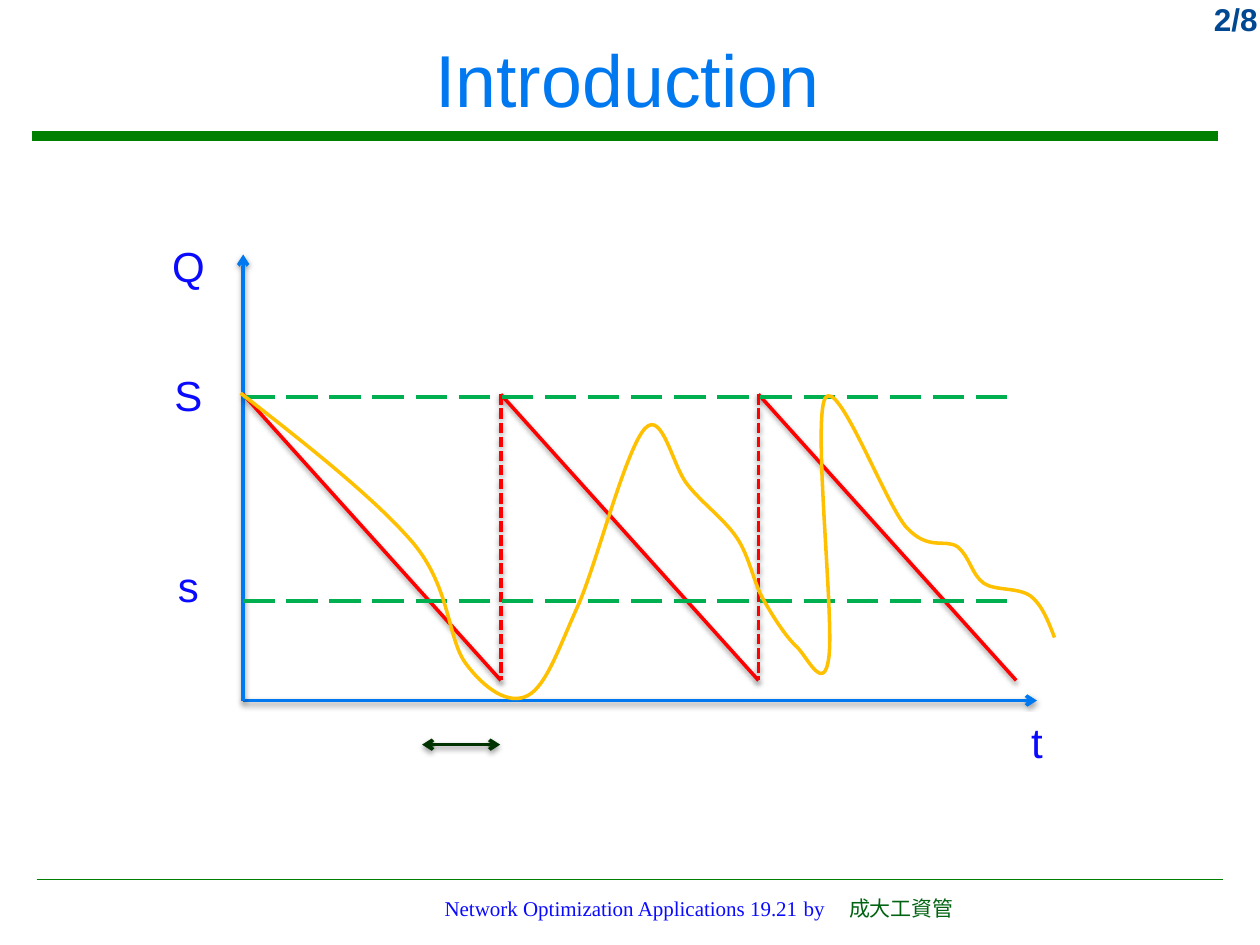
from dataclasses import dataclass
from typing import Optional

from lxml.etree import SubElement
from pptx import Presentation
from pptx.dml.color import RGBColor
from pptx.enum.dml import MSO_LINE_DASH_STYLE as Dash
from pptx.enum.shapes import MSO_CONNECTOR as Connector, MSO_SHAPE as Preset
from pptx.enum.text import MSO_ANCHOR as Anchor, PP_ALIGN as Align
from pptx.oxml.ns import qn
from pptx.util import Inches, Pt

COLUMNS, ROWS = 100, 75
COLORS = {
    "rule": "008000", "number": "004992", "title": "0078F0", "label": "0A0AFF",
    "school": "016311", "axis": "0078F0", "plan": "FF0000", "level": "00B050",
    "demand": "FFC000", "lead": "003300", "paper": "FFFFFF", "shadow": "000000",
}

deck = Presentation()
deck.slide_width, deck.slide_height = Inches(10), Inches(7.5)
page = deck.slides.add_slide(deck.slide_layouts[6])


@dataclass
class Line:
    start: tuple[float, float]
    end: tuple[float, float]
    color: str
    width: float = 2
    dash: Optional[Dash] = None
    arrows: tuple[str, ...] = ()
    shadow: bool = True


@dataclass
class Caption:
    frame: tuple[float, float, float, float]
    wording: tuple[tuple[str, str], ...]
    size: float
    font: str = "Arial"
    align: Align = Align.CENTER
    anchor: Anchor = Anchor.MIDDLE
    bold: bool = False
    filled: bool = False
    tabs: tuple[float, ...] = ()


def across(columns: float) -> int:
    return round(deck.slide_width * columns / COLUMNS)


def down(rows: float) -> int:
    return round(deck.slide_height * rows / ROWS)


def rgb(name: str) -> RGBColor:
    return RGBColor.from_string(COLORS[name])


def draw_line(line: Line) -> None:
    (x1, y1), (x2, y2) = line.start, line.end
    shape = page.shapes.add_connector(
        Connector.STRAIGHT, across(x1), down(y1), across(x2), down(y2))
    shape.line.color.rgb = rgb(line.color)
    shape.line.width = Pt(line.width)
    if line.dash:
        shape.line.dash_style = line.dash
    properties = shape._element.spPr
    for end in line.arrows:
        SubElement(properties.find(qn("a:ln")), qn(f"a:{end}"), type="arrow")
    effects = SubElement(properties, qn("a:effectLst"))
    if line.shadow:
        shadow = SubElement(effects, qn("a:outerShdw"), blurRad="40000",
                            dist="20000", dir="5400000", rotWithShape="0")
        tint = SubElement(shadow, qn("a:srgbClr"), val=COLORS["shadow"])
        SubElement(tint, qn("a:alpha"), val="38000")


def draw_caption(caption: Caption) -> None:
    x, y, width, height = caption.frame
    place = across(x), down(y), across(width), down(height)
    if caption.filled:
        box = page.shapes.add_shape(Preset.RECTANGLE, *place)
        box.shadow.inherit = False
        box.fill.solid()
        box.fill.fore_color.rgb = rgb("paper")
        box.line.fill.background()
    else:
        box = page.shapes.add_textbox(*place)
    frame = box.text_frame
    frame.word_wrap = True
    frame.vertical_anchor = caption.anchor
    para = frame.paragraphs[0]
    para.alignment = caption.align
    if caption.tabs:
        stops = SubElement(para._p.get_or_add_pPr(), qn("a:tabLst"))
        for stop in caption.tabs:
            SubElement(stops, qn("a:tab"), pos=str(across(stop)), algn="l")
    for text, color in caption.wording:
        span = para.add_run()
        span.text = text
        span.font.name = caption.font
        span.font.size = Pt(caption.size)
        span.font.bold = caption.bold
        span.font.color.rgb = rgb(color)


def draw_curve(start: tuple, bends: list[tuple], color: str, width: float) -> None:
    builder = page.shapes.build_freeform(across(start[0]), down(start[1]))
    points = [(across(bend[i]), down(bend[i + 1])) for bend in bends for i in (0, 2, 4)]
    builder.add_line_segments(points, close=False)
    shape = builder.convert_to_shape()
    shape.shadow.inherit = False
    shape.fill.background()
    shape.line.color.rgb = rgb(color)
    shape.line.width = Pt(width)
    outline = next(shape._element.iter(qn("a:path")))
    segments = outline.findall(qn("a:lnTo"))
    for first in range(0, len(segments), 3):
        cubic = SubElement(outline, qn("a:cubicBezTo"))
        for segment in segments[first:first + 3]:
            cubic.append(segment[0])
            outline.remove(segment)


ORIGIN_X, ORIGIN_Y = 19.3, 55.6
CYCLE, TOP, BOTTOM = 20.45, 31.3, 54
CYCLE_STARTS = [ORIGIN_X + CYCLE * turn for turn in range(3)]

FRAME_LINES = [
    Line((2.5, 10.8), (96.7, 10.8), "rule", 5.25, shadow=False),
    Line((2.9, 69.8), (97.1, 69.8), "rule", 1, shadow=False),
]
AXES = [
    Line((ORIGIN_X, ORIGIN_Y), end, "axis", arrows=("tailEnd",))
    for end in [(82.3, ORIGIN_Y), (ORIGIN_X, 20.2)]
]
PLAN = [
    Line((x, TOP), (x + CYCLE, BOTTOM), "plan") for x in CYCLE_STARTS
] + [
    Line((x, TOP), (x, BOTTOM), "plan", dash=Dash.SQUARE_DOT) for x in CYCLE_STARTS[1:]
]
LEVELS = [
    Line((ORIGIN_X, y), (79.9, y), "level", 2.25, Dash.LONG_DASH, shadow=False)
    for y in (47.7, 31.5)
]
LEAD_TIME = Line((33.5, 59.1), (39.7, 59.1), "lead", arrows=("headEnd", "tailEnd"))

CAPTIONS = [
    Caption((91.7, -0.5, 9.1, 4), (("2/8", "number"),), 18,
            align=Align.RIGHT, anchor=Anchor.TOP, bold=True),
    Caption((0.8, 0.9, 98, 10.6), (("Introduction", "title"),), 42),
    Caption((34.3, 70.6, 63.9, 4),
            (("Network Optimization Applications 19.21\tby\t", "label"),
             ("成大工資管", "school")), 12, "Times New Roman",
            Align.LEFT, Anchor.TOP, tabs=(28.5, 32.1)),
]
LABELS = [
    Caption((x, y, width, 4.7), ((text, "label"),), 24, filled=True)
    for text, x, y, width in [
        ("t", 76, 56.5, 12.6), ("Q", 12.2, 18.7, 5.5),
        ("S", 12.2, 29, 5.5), ("s", 12.2, 44.1, 5.5)]
]
DEMAND = [
    (24.5, 35.4, 29.8, 39.6, 32.8, 43.1), (35.8, 46.7, 35.5, 50.7, 37, 52.7),
    (38.5, 54.7, 40.4, 56, 41.9, 55.2), (43.4, 54.4, 44.4, 51.3, 46, 47.8),
    (47.5, 44.2, 49.7, 35.6, 51.2, 34), (52.6, 32.5, 53.4, 37.1, 54.6, 38.5),
    (55.8, 40, 57.5, 41.2, 58.5, 42.7), (59.5, 44.2, 59.8, 46.2, 60.6, 47.6),
    (61.4, 49, 62.3, 50.4, 63.1, 51.2), (64, 51.9, 65.4, 55.3, 65.8, 52.1),
    (66.2, 48.8, 64.5, 33.4, 65.5, 31.6), (66.5, 29.9, 70.2, 39.8, 71.9, 41.8),
    (73.7, 43.8, 75, 42.7, 76, 43.4), (77, 44.2, 77.1, 45.6, 78.1, 46.3),
    (79, 46.9, 80.8, 46.6, 81.8, 47.3), (82.7, 48, 83.2, 49.3, 83.7, 50.6),
]

for rule in FRAME_LINES:
    draw_line(rule)
for caption in CAPTIONS:
    draw_caption(caption)
for axis in AXES:
    draw_line(axis)
for label in LABELS:
    draw_caption(label)
for line in PLAN + LEVELS:
    draw_line(line)
draw_curve((19.1, 31.2), DEMAND, "demand", 2)
draw_line(LEAD_TIME)

deck.save("out.pptx")
